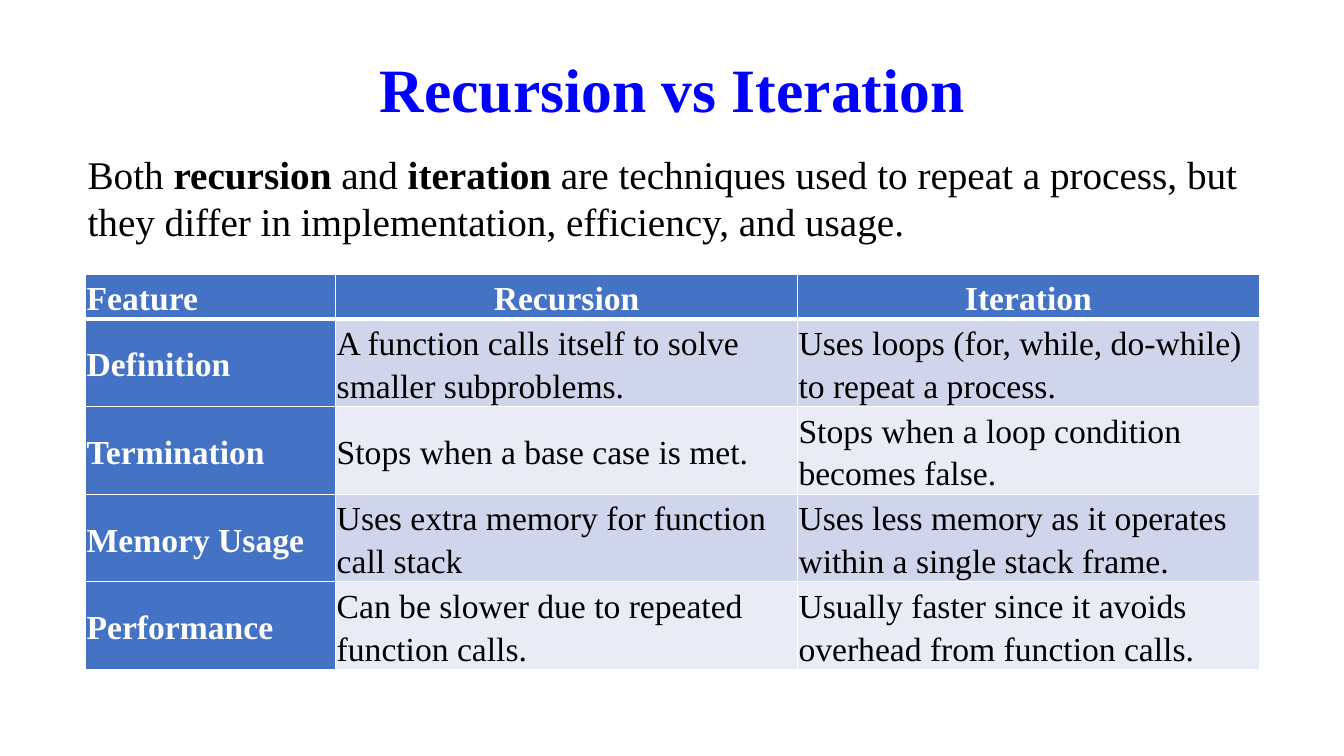
from dataclasses import dataclass

from lxml.etree import SubElement
from pptx import Presentation
from pptx.dml.color import RGBColor
from pptx.enum.text import MSO_ANCHOR, PP_ALIGN
from pptx.oxml.ns import qn
from pptx.util import Inches, Pt


@dataclass(frozen=True)
class Theme:
    font: str = "Times New Roman"
    title_color: str = "0000FF"
    text_color: str = "000000"
    header_text: str = "FFFFFF"
    header_fill: str = "4472C4"
    bands: tuple = ("CFD5EA", "E9EBF5")
    border: str = "FFFFFF"
    title_size: int = 44
    intro_size: int = 28
    table_size: int = 24


THEME = Theme()

INTRO = [
    ("Both ", False),
    ("recursion", True),
    (" and ", False),
    ("iteration", True),
    (" are techniques used to repeat a process, but they differ in "
     "implementation, efficiency, and usage.", False),
]

COMPARISON = [
    ("Feature", "Recursion", "Iteration"),
    ("Definition", "A function calls itself to solve smaller subproblems.",
     "Uses loops (for, while, do-while) to repeat a process."),
    ("Termination", "Stops when a base case is met.",
     "Stops when a loop condition becomes false."),
    ("Memory Usage", "Uses extra memory for function call stack",
     "Uses less memory as it operates within a single stack frame."),
    ("Performance", "Can be slower due to repeated function calls.",
     "Usually faster since it avoids overhead from function calls."),
]
COLUMN_WIDTHS = (2.48, 4.58, 4.58)
HEADER_HEIGHT, ROW_HEIGHT = 0.44, 0.87


def style_font(font, size, color, bold=None):
    font.name = THEME.font
    font.size = Pt(size)
    font.color.rgb = RGBColor.from_string(color)
    font.bold = bold


def place_title(slide, box, text):
    title = slide.shapes.title
    title.left, title.top, title.width, title.height = map(Inches, box)
    frame = title.text_frame
    frame.text = text
    frame.vertical_anchor = MSO_ANCHOR.MIDDLE
    heading = frame.paragraphs[0]
    heading.alignment = PP_ALIGN.CENTER
    heading.line_spacing = 0.9
    style_font(heading.font, THEME.title_size, THEME.title_color, True)


def add_intro(slide, box, pieces):
    frame = slide.shapes.add_textbox(*map(Inches, box)).text_frame
    frame.word_wrap = True
    sentence = frame.paragraphs[0]
    style_font(sentence.font, THEME.intro_size, THEME.text_color)
    for text, bold in pieces:
        piece = sentence.add_run()
        piece.text = text
        piece.font.bold = bold


def set_borders(cell, bottom_width):
    """Draw the cell's edges; they must come before its fill in the XML."""
    properties = cell._tc.get_or_add_tcPr()
    widths = {"a:lnL": 1, "a:lnR": 1, "a:lnT": 1, "a:lnB": bottom_width}
    for tag, width in widths.items():
        edge = SubElement(properties, qn(tag), w=str(Pt(width)))
        fill = SubElement(edge, qn("a:solidFill"))
        SubElement(fill, qn("a:srgbClr"), val=THEME.border)


def fill_cell(cell, text, row, column):
    is_header = row == 0 or column == 0
    set_borders(cell, 3 if row == 0 else 1)
    cell.fill.solid()
    cell.fill.fore_color.rgb = RGBColor.from_string(
        THEME.header_fill if is_header else THEME.bands[(row - 1) % 2])
    cell.margin_left = cell.margin_right = Inches(0.01)
    cell.margin_top = cell.margin_bottom = Inches(0.01)
    cell.vertical_anchor = MSO_ANCHOR.MIDDLE

    cell.text = text
    entry = cell.text_frame.paragraphs[0]
    entry.alignment = (PP_ALIGN.CENTER if row == 0 and column > 0
                       else PP_ALIGN.LEFT)
    entry.line_spacing = 1.15
    entry.space_after = Pt(8)
    style_font(entry.font, THEME.table_size,
               THEME.header_text if is_header else THEME.text_color, is_header)


def add_comparison(slide, left, top, rows):
    height = HEADER_HEIGHT + ROW_HEIGHT * (len(rows) - 1)
    box = map(Inches, (left, top, sum(COLUMN_WIDTHS), height))
    table = slide.shapes.add_table(len(rows), len(COLUMN_WIDTHS), *box).table
    table.first_col = True
    for column, width in zip(table.columns, COLUMN_WIDTHS):
        column.width = Inches(width)
    for r, texts in enumerate(rows):
        table.rows[r].height = Inches(ROW_HEIGHT if r else HEADER_HEIGHT)
        for c, text in enumerate(texts):
            fill_cell(table.cell(r, c), text, r, c)


def build_comparison_slide(deck):
    title_only = deck.slide_layouts[5]
    slide = deck.slides.add_slide(title_only)
    # Heading
    place_title(slide, (0.92, 0.4, 11.5, 1.04), "Recursion vs Iteration")
    # Feature table
    add_comparison(slide, 0.85, 2.72, COMPARISON)
    # Introductory sentence
    add_intro(slide, (0.77, 1.44, 11.65, 1.04), INTRO)


def main():
    deck = Presentation()
    deck.slide_width, deck.slide_height = Inches(13.33), Inches(7.5)
    build_comparison_slide(deck)
    deck.save("out.pptx")


if __name__ == "__main__":
    main()
